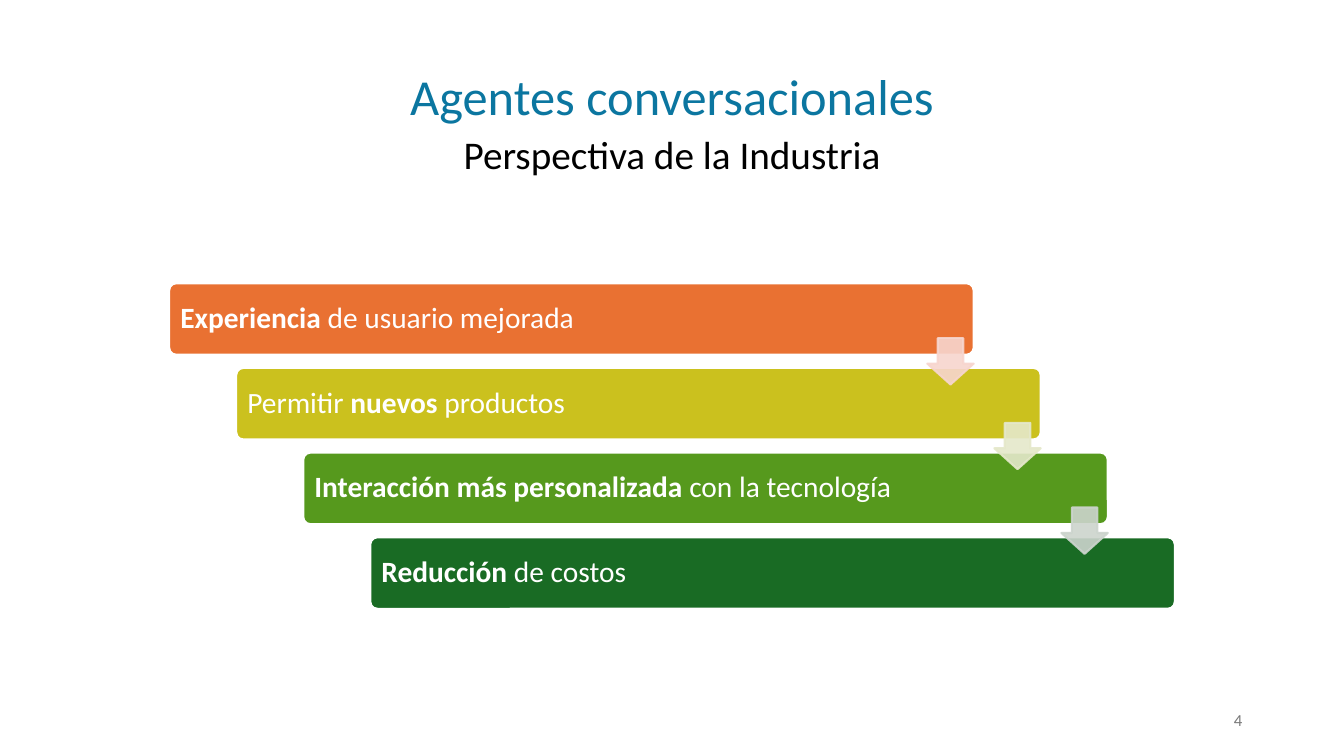
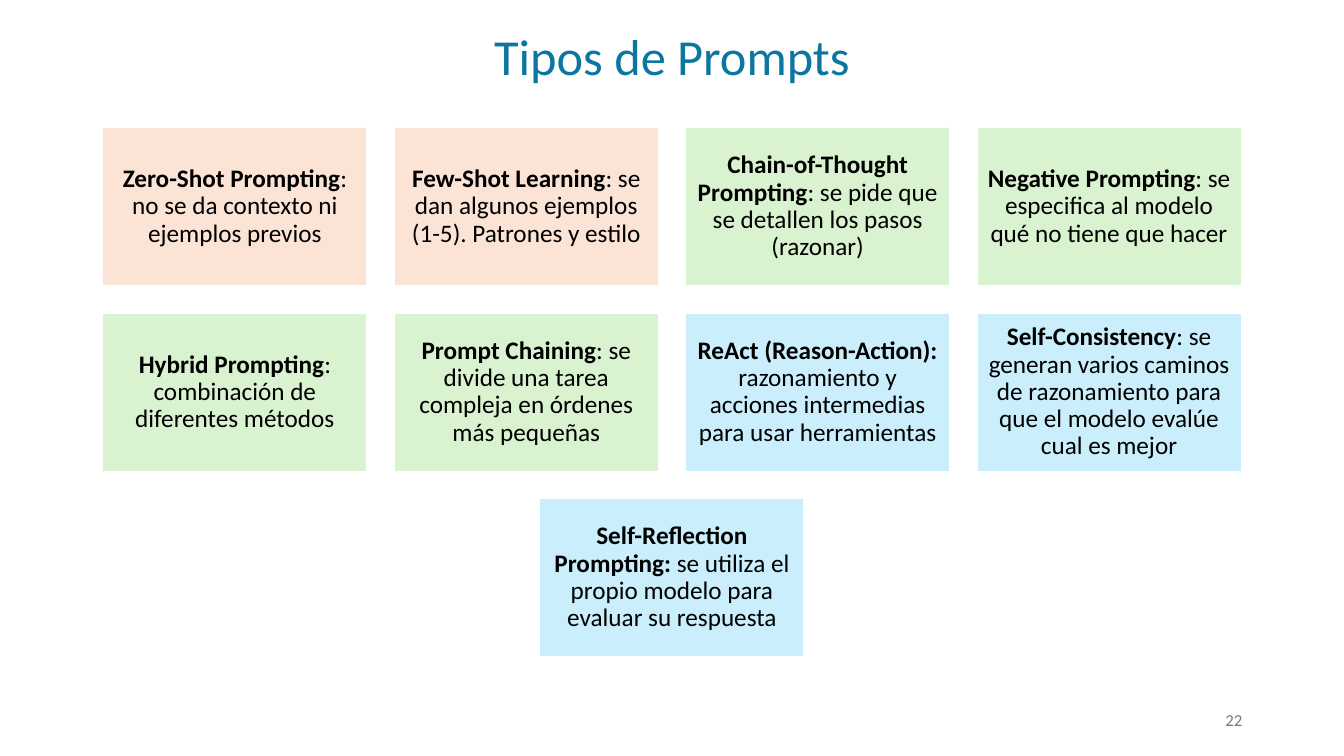
from pptx import Presentation
from pptx.dml.color import RGBColor
from pptx.enum.shapes import MSO_SHAPE as Shape
from pptx.enum.text import MSO_ANCHOR as Anchor, MSO_AUTO_SIZE as AutoSize, PP_ALIGN as Align
from pptx.oxml.ns import qn
from pptx.util import Inches, Pt
from lxml.etree import SubElement

WIDTH, HEIGHT = 13.33, 7.5
FONT = "Calibri"
TITLE_ONLY = 5

WHITE = RGBColor(0xFF, 0xFF, 0xFF)
BLACK = RGBColor(0x00, 0x00, 0x00)
GRAY = RGBColor(0x79, 0x79, 0x79)
TEAL = RGBColor(0x0B, 0x76, 0xA0)
ORANGE = RGBColor(0xE9, 0x71, 0x32)
MUSTARD = RGBColor(0xCB, 0xC1, 0x1E)
GREEN = RGBColor(0x56, 0x99, 0x1D)
DARK_GREEN = RGBColor(0x19, 0x6B, 0x24)
PALE_ORANGE = RGBColor(0xF7, 0xD5, 0xCE)
PALE_MUSTARD = RGBColor(0xE5, 0xE8, 0xCA)
PALE_GREEN = RGBColor(0xCC, 0xD4, 0xCD)
PEACH = RGBColor(0xFB, 0xE3, 0xD6)
MINT = RGBColor(0xD9, 0xF2, 0xD0)
SKY = RGBColor(0xCA, 0xEE, 0xFB)

STEP_WIDTH, STEP_HEIGHT, STEP_TOP = 7.98, 0.71, 2.81
STEP_SHIFT, STEP_PITCH = STEP_WIDTH / 12, 0.84
ARROW_SIZE = 0.46
CARD_WIDTH, CARD_HEIGHT, CARD_GAP, CARD_TOP = 2.63, 1.58, 0.26, 1.26

STEPS = [
    ("**Experiencia** de usuario mejorada", ORANGE),
    ("Permitir **nuevos** productos", MUSTARD),
    ("**Interacción más personalizada** con la tecnología", GREEN),
    ("**Reducción** de costos", DARK_GREEN),
]
ARROW_COLORS = [PALE_ORANGE, PALE_MUSTARD, PALE_GREEN]

CARD_ROWS = [
    [
        ("**Zero-Shot Prompting**: no se da contexto ni ejemplos previos", PEACH),
        ("**Few-Shot Learning**: se dan algunos ejemplos (1-5). Patrones y estilo", PEACH),
        ("**Chain-of-Thought Prompting**: se pide que se detallen los pasos (razonar)", MINT),
        ("**Negative Prompting**: se especifica al modelo qué no tiene que hacer", MINT),
    ],
    [
        ("**Hybrid Prompting**: combinación de diferentes métodos", MINT),
        ("**Prompt Chaining**: se divide una tarea compleja en órdenes más pequeñas", MINT),
        ("**ReAct (Reason-Action):** razonamiento y acciones intermedias "
         "para usar herramientas", SKY),
        ("**Self-Consistency**: se generan varios caminos de razonamiento "
         "para que el modelo evalúe cual es mejor", SKY),
    ],
    [
        ("**Self-Reflection Prompting:** se utiliza el propio modelo "
         "para evaluar su respuesta", SKY),
    ],
]


def write(para, text, size, color, align):
    for index, part in enumerate(text.split("**")):
        if part:
            span = para.add_run()
            span.text = part
            if index % 2:
                span.font.bold = True
    para.alignment = align
    para.line_spacing = 0.9
    para.font.name = FONT
    para.font.size = Pt(size)
    para.font.color.rgb = color


def set_frame(frame, anchor, inset=None):
    frame.word_wrap = True
    frame.auto_size = AutoSize.NONE
    frame.vertical_anchor = anchor
    if inset is not None:
        frame.margin_left = frame.margin_right = Inches(inset)
        frame.margin_top = frame.margin_bottom = Inches(inset)


def add_page(deck, number, title, top, height, anchor, subtitle=None):
    page = deck.slides.add_slide(deck.slide_layouts[TITLE_ONLY])
    box = page.shapes.title
    box.left, box.top = 0, Inches(top)
    box.width, box.height = Inches(WIDTH), Inches(height)
    frame = box.text_frame
    set_frame(frame, anchor)
    write(frame.paragraphs[0], title, 36, TEAL, Align.CENTER)
    if subtitle:
        write(frame.add_paragraph(), subtitle, 28, BLACK, Align.CENTER)
    for para in frame.paragraphs:
        para.space_before = Pt(0)
        para.space_after = Pt(6)
    add_page_number(page, number)
    return page


def add_page_number(page, number):
    box = page.shapes.add_textbox(Inches(9.42), Inches(6.95), Inches(3), Inches(0.4))
    set_frame(box.text_frame, Anchor.MIDDLE)
    write(box.text_frame.paragraphs[0], str(number), 12, GRAY, Align.RIGHT)


def add_block(page, kind, left, top, width, height, fill, line=WHITE):
    block = page.shapes.add_shape(
        kind, Inches(left), Inches(top), Inches(width), Inches(height))
    block.shadow.inherit = False
    block.fill.solid()
    block.fill.fore_color.rgb = fill
    block.line.color.rgb = line
    block.line.width = Pt(1.5)
    return block


def add_step(page, left, top, text, color):
    step = add_block(page, Shape.ROUNDED_RECTANGLE, left, top,
                     STEP_WIDTH, STEP_HEIGHT, color)
    step.adjustments[0] = 0.1
    set_frame(step.text_frame, Anchor.MIDDLE, 0.09)
    write(step.text_frame.paragraphs[0], text, 21, WHITE, Align.LEFT)


def add_arrow(page, left, top, color):
    arrow = add_block(page, Shape.DOWN_ARROW, left, top,
                      ARROW_SIZE, ARROW_SIZE, color, color)
    arrow.adjustments[0] = 0.55
    arrow.adjustments[1] = 0.45
    for tint in list(arrow._element.spPr.iter(qn("a:srgbClr"))):
        SubElement(tint, qn("a:alpha"), val="90000")


def add_card(page, left, top, text, color):
    card = add_block(page, Shape.RECTANGLE, left, top, CARD_WIDTH, CARD_HEIGHT, color)
    set_frame(card.text_frame, Anchor.MIDDLE, 0.07)
    write(card.text_frame.paragraphs[0], text, 18, BLACK, Align.CENTER)


def add_staircase(page):
    start = (WIDTH - STEP_WIDTH - STEP_SHIFT * (len(STEPS) - 1)) / 2
    for index, (text, color) in enumerate(STEPS):
        add_step(page, start + index * STEP_SHIFT, STEP_TOP + index * STEP_PITCH,
                 text, color)
    arrow_left = start + STEP_WIDTH - ARROW_SIZE
    arrow_top = STEP_TOP + (STEP_HEIGHT + STEP_PITCH - ARROW_SIZE) / 2
    for index, color in enumerate(ARROW_COLORS):
        add_arrow(page, arrow_left + index * STEP_SHIFT,
                  arrow_top + index * STEP_PITCH, color)


def add_card_rows(page):
    pitch = CARD_WIDTH + CARD_GAP
    for row, cards in enumerate(CARD_ROWS):
        start = (WIDTH - len(cards) * pitch + CARD_GAP) / 2
        top = CARD_TOP + row * (CARD_HEIGHT + CARD_GAP)
        for column, (text, color) in enumerate(cards):
            add_card(page, start + column * pitch, top, text, color)


def main():
    deck = Presentation()
    deck.slide_width, deck.slide_height = Inches(WIDTH), Inches(HEIGHT)
    add_staircase(add_page(deck, 4, "Agentes conversacionales", 0.38, 1.72,
                           Anchor.MIDDLE, "Perspectiva de la Industria"))
    add_card_rows(add_page(deck, 22, "Tipos de Prompts", 0.27, 0.65, Anchor.TOP))
    deck.save("out.pptx")


if __name__ == "__main__":
    main()
